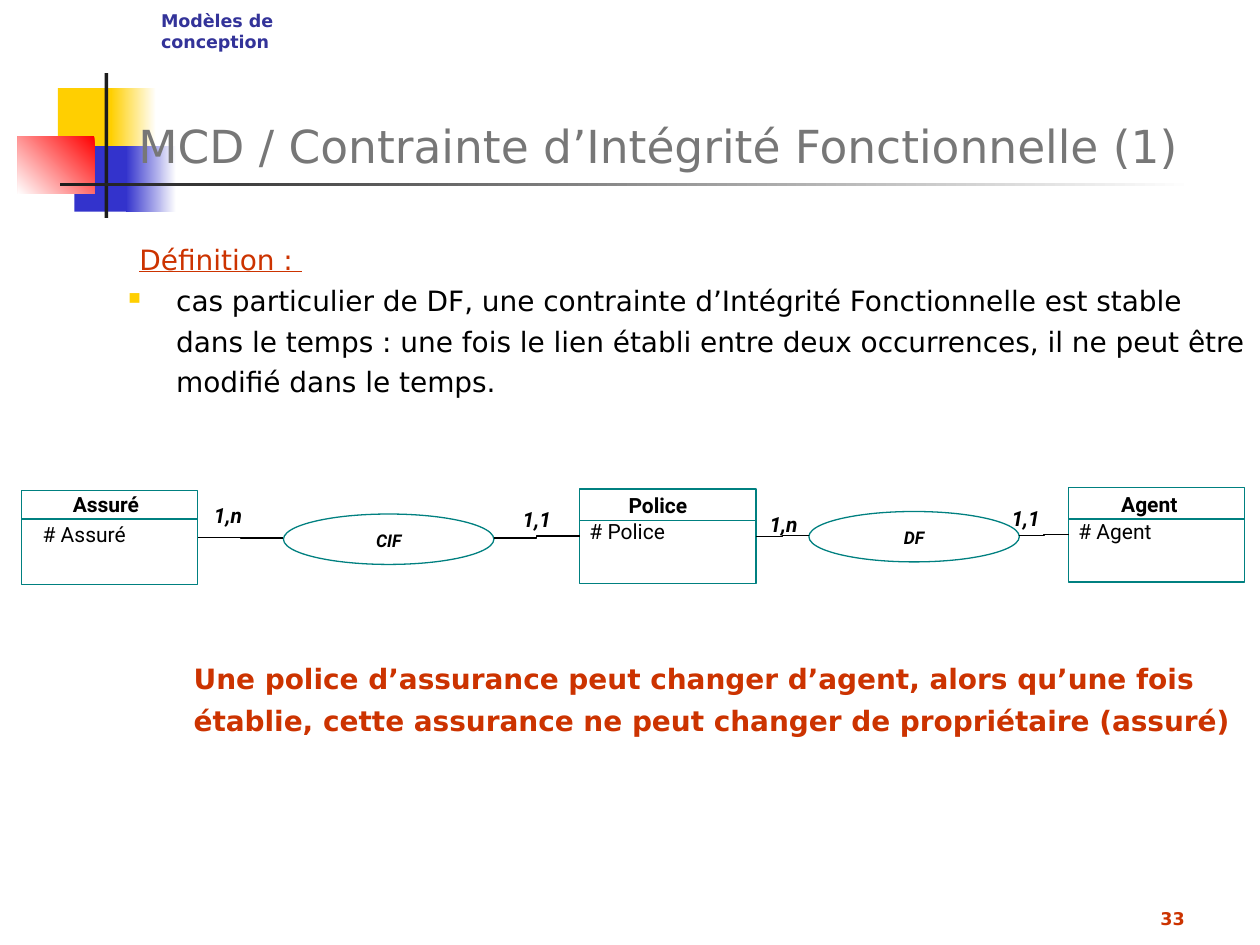
from lxml import etree
from pptx import Presentation
from pptx.dml.color import RGBColor
from pptx.enum.shapes import MSO_CONNECTOR as Link, MSO_SHAPE as Shape
from pptx.enum.text import MSO_ANCHOR as Anchor, PP_ALIGN as Align
from pptx.oxml.ns import qn
from pptx.util import Inches, Pt

COLORS = {
    "yellow": "FFCF01", "blue": "3333CC", "red": "FF0000", "white": "FFFFFF",
    "ink": "1C1C1C", "gray": "777777", "black": "000000", "rust": "CC3300",
    "navy": "333399", "teal": "008080",
}
SANS, BOX = "DejaVu Sans", "Roboto"

# Decor: left, top, width, height, colours (one is solid), gradient angle
DECOR = [
    (0.46, 0.7, 0.48, 0.52, ["yellow"], 0),
    (0.88, 0.7, 0.36, 0.52, ["white", "yellow"], 180),
    (0.59, 1.16, 0.46, 0.52, ["blue"], 0),
    (1, 1.16, 0.4, 0.52, ["white", "blue"], 180),
    (0.14, 1.08, 0.61, 0.46, ["red", "white"], 225),
    (0.83, 0.58, 0.03, 1.15, ["ink"], 0),
    (0.48, 1.45, 9, 0.03, ["white", "ink"], 180),
]

TITLE = "MCD / Contrainte d’Intégrité Fonctionnelle (1)"
HEADER = "Modèles de conception"
LEAD = "Définition : "
BODY = ("cas particulier de DF, une contrainte d’Intégrité Fonctionnelle est stable "
        "dans le temps : une fois le lien établi entre deux occurrences, il ne peut "
        "être modifié dans le temps.")
NOTE = ("Une police d’assurance peut changer d’agent, alors qu’une fois établie, "
        "cette assurance ne peut changer de propriétaire (assuré)")
NUMBER = "33"

# Entities: name, left, top, divider height, name box, key box (left, top, width)
ENTITY_W, ENTITY_H = 1.4, 0.75
ENTITIES = [
    ("Assuré", 0.17, 3.89, 4.12, (0.48, 3.83, 0.76), (0.24, 4.07, 0.88)),
    ("Police", 4.6, 3.88, 4.13, (4.89, 3.84, 0.69), (4.58, 4.05, 0.81)),
    ("Agent", 8.48, 3.87, 4.12, (8.8, 3.83, 0.7), (8.46, 4.05, 0.81)),
]
# Relations: name, left, top, link height, entity on the left, on the right
OVAL_W, OVAL_H = 1.67, 0.4
RELATIONS = [
    ("CIF", 2.25, 4.08, 4.27, "Assuré", "Police"),
    ("DF", 6.42, 4.06, 4.25, "Police", "Agent"),
]
# Cardinalities: text, left, top
CARDS = [("1,n", 1.6, 3.94), ("1,1", 4.05, 3.97),
         ("1,n", 6.01, 4.01), ("1,1", 7.93, 3.96)]

deck = Presentation()
deck.slide_width, deck.slide_height = Inches(10), Inches(7.5)
slide = deck.slides.add_slide(deck.slide_layouts[6])
shapes = slide.shapes


def rgb(name):
    return RGBColor.from_string(COLORS[name])


def add_form(kind, *at):
    form = shapes.add_shape(kind, *map(Inches, at))
    form.shadow.inherit = False
    return form


def outline(item, color):
    item.line.color.rgb = rgb(color)
    item.line.width = Pt(0.75)


def add_line(kind, x1, y1, x2, y2, color):
    line = shapes.add_connector(kind, *map(Inches, (x1, y1, x2, y2)))
    outline(line, color)
    etree.SubElement(line._element.spPr, qn("a:effectLst"))
    return line


def style(run, size, color, face=SANS, bold=False, italic=False):
    font = run.font
    font.name, font.size, font.bold, font.italic = face, Pt(size), bold, italic
    font.color.rgb = rgb(color)


def add_frame(at, wrap=True, anchor=Anchor.TOP):
    frame = shapes.add_textbox(*map(Inches, at)).text_frame
    frame.word_wrap, frame.vertical_anchor = wrap, anchor
    return frame


def add_text(text, at, look, wrap=True, anchor=Anchor.TOP, gap=None, align=None):
    frame = add_frame(at, wrap, anchor)
    frame.text = text
    para = frame.paragraphs[0]
    para.line_spacing, para.alignment = gap, align
    style(para.runs[0], *look)


def hang(para):
    para.line_spacing = 1.2
    props = para._p.get_or_add_pPr()
    props.set("marL", str(Inches(0.38)))
    props.set("indent", str(Inches(-0.38)))
    return props


def add_lead(para, text, bold=False):
    """Hanging paragraph that opens with one larger space."""
    hang(para)
    for part, size, color in ((" ", 20, "black"), (text, 16, "rust")):
        run = para.add_run()
        run.text = part
        style(run, size, color, bold=bold)
    return run


# Decor squares and rules
for *at, fills, angle in DECOR:
    form = add_form(Shape.RECTANGLE, *at)
    form.line.fill.background()
    if len(fills) == 1:
        form.fill.solid()
        form.fill.fore_color.rgb = rgb(fills[0])
    else:
        form.fill.gradient()
        form.fill.gradient_angle = angle
        for stop, name in zip(form.fill.gradient_stops, fills):
            stop.color.rgb = rgb(name)

# Title, header and definition
add_text(TITLE, (1, 0.17, 9.32, 1.25), (26, "gray"), anchor=Anchor.BOTTOM)
add_text(HEADER, (1.18, 0.03, 1.78, 0.27), (10, "navy", SANS, True))

frame = add_frame((0.92, 1.75, 9.08, 2.08))
add_lead(frame.paragraphs[0], LEAD).font.underline = True
para = frame.add_paragraph()
para.text = BODY
style(para.runs[0], 16, "black")
props = hang(para)
tint = etree.SubElement(props, qn("a:buClr"))
etree.SubElement(tint, qn("a:srgbClr"), val=COLORS["yellow"])
etree.SubElement(props, qn("a:buSzPct"), val="60000")
etree.SubElement(props, qn("a:buChar"), char="■")

# Entities
boxes = {}
for name, left, top, mid, head, key in ENTITIES:
    box = boxes[name] = add_form(Shape.RECTANGLE, left, top, ENTITY_W, ENTITY_H)
    box.fill.background()
    outline(box, "teal")
    add_line(Link.STRAIGHT, left, mid, left + ENTITY_W, mid, "teal")
    add_text(name, (*head, 0.32), (12, "black", BOX, True), wrap=False, gap=1.1)
    add_text("# " + name, (*key, 0.32), (12, "black", BOX), wrap=False, gap=1.1)

# Relations, linked to the facing sides of their entities
for name, left, top, mid, before, after in RELATIONS:
    oval = add_form(Shape.OVAL, left, top, OVAL_W, OVAL_H)
    oval.fill.background()
    outline(oval, "teal")
    oval.text_frame.text = name
    para = oval.text_frame.paragraphs[0]
    para.alignment, para.line_spacing = Align.CENTER, 1.1
    style(para.runs[0], 10, "black", BOX, True, True)
    for x, entity, side in ((left, before, 3), (left + OVAL_W, after, 1)):
        link = add_line(Link.ELBOW, x, mid, x, mid, "black")
        link.end_connect(boxes[entity], side)

# Cardinalities
for text, left, top in CARDS:
    add_text(text, (left, top, 0.44, 0.3), (12, "black", BOX, True, True), wrap=False)

# Conclusion and page number
para = add_frame((0.92, 5.08, 9.08, 2.08)).paragraphs[0]
add_lead(para, NOTE, bold=True)
para.alignment = Align.CENTER
add_text(NUMBER, (7.42, 6.92, 2.08, 0.5), (10, "rust", SANS, True),
         anchor=Anchor.BOTTOM, align=Align.RIGHT)

deck.save("out.pptx")
